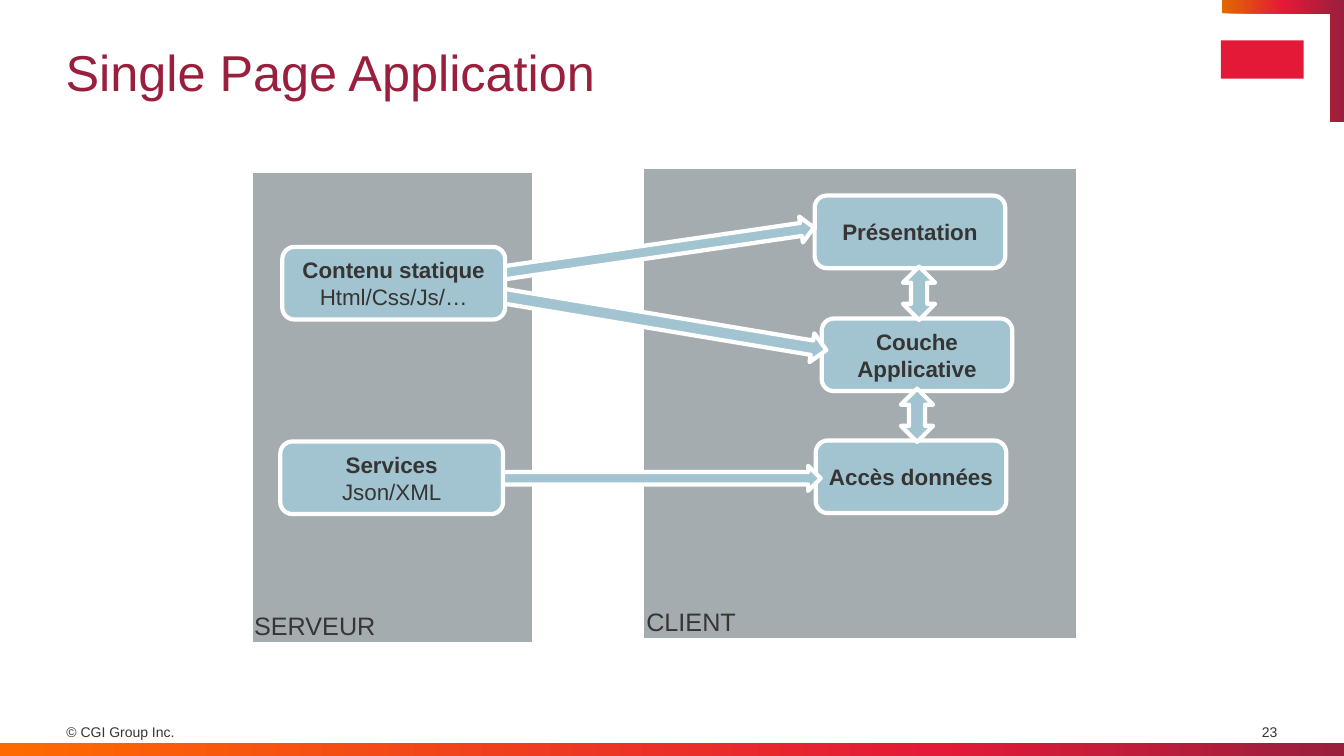
from dataclasses import dataclass

import pptx
import pptx.dml.color
import pptx.enum.shapes
import pptx.enum.text
import pptx.oxml
import pptx.oxml.ns
import pptx.shapes.autoshape
import pptx.slide
import pptx.text.text
import pptx.util

RGBColor = pptx.dml.color.RGBColor
Shape = pptx.shapes.autoshape.Shape
Page = pptx.slide.Slide
Kind = pptx.enum.shapes.MSO_SHAPE
Align = pptx.enum.text.PP_ALIGN
Anchor = pptx.enum.text.MSO_ANCHOR

EMU_PER_PX = 9144
PAGE_WIDTH, PAGE_HEIGHT = 1333, 750
FONT = "Arial"
WHITE = RGBColor(0xFF, 0xFF, 0xFF)
INK = RGBColor(0x36, 0x35, 0x34)
GREY = RGBColor(0xA5, 0xAC, 0xB0)
BLUE = RGBColor(0xA1, 0xC4, 0xD0)
RED = RGBColor(0xE3, 0x19, 0x37)
BURGUNDY = RGBColor(0x99, 0x1F, 0x3D)
ORANGE = RGBColor(0xFF, 0x6A, 0x00)
DARK_ORANGE = RGBColor(0xE1, 0x6A, 0x00)


@dataclass(frozen=True)
class Frame:
    left: int
    top: int
    width: int
    height: int


@dataclass(frozen=True)
class Block:
    kind: Kind
    frame: Frame
    fill: RGBColor = BLUE
    rotation: float = 0
    heading: str = ""
    detail: str = ""


@dataclass(frozen=True)
class Label:
    text: str
    frame: Frame
    size: int
    align: Align = Align.LEFT
    anchor: Anchor = Anchor.MIDDLE
    wrap: bool = True


def panel(left: int, top: int, width: int) -> Block:
    return Block(Kind.RECTANGLE, Frame(left, top, width, 469), GREY)


def node(left: int, top: int, width: int, heading: str, detail: str = "") -> Block:
    return Block(Kind.ROUNDED_RECTANGLE, Frame(left, top, width, 72),
                 heading=heading, detail=detail)


def flow(left: int, top: int, width: int, height: int, rotation: float = 0) -> Block:
    return Block(Kind.RIGHT_ARROW, Frame(left, top, width, height), rotation=rotation)


def exchange(left: int, top: int) -> Block:
    return Block(Kind.LEFT_RIGHT_ARROW, Frame(left, top, 53, 32), rotation=90)


BLOCKS = [
    panel(637, 166, 432),
    node(809, 437, 189, "Accès données"),
    node(815, 316, 189, "Couche Applicative"),
    node(808, 194, 189, "Présentation"),
    panel(249, 170, 281),
    flow(485, 462, 329, 25),
    flow(488, 236, 321, 26, 351.7),
    flow(472, 304, 350, 29, 9.5),
    node(280, 245, 221, "Contenu statique", "Html/Css/Js/…"),
    node(278, 438, 221, "Services", "Json/XML"),
    exchange(885, 275),
    exchange(883, 396),
]

LABELS = [
    Label("© CGI Group Inc.", Frame(66, 717, 210, 19), 10, wrap=False),
    Label("23", Frame(1238, 717, 29, 19), 10, Align.RIGHT),
    Label("SERVEUR", Frame(252, 606, 192, 30), 18, anchor=Anchor.TOP),
    Label("CLIENT", Frame(641, 602, 192, 30), 18, anchor=Anchor.TOP),
]


def px(length: int) -> pptx.util.Emu:
    return pptx.util.Emu(length * EMU_PER_PX)


def edges(frame: Frame) -> tuple:
    return px(frame.left), px(frame.top), px(frame.width), px(frame.height)


def set_frame(box: Shape, *, anchor: Anchor = Anchor.MIDDLE, side: int = 0,
              wrap: bool = True) -> None:
    text_frame = box.text_frame
    text_frame.auto_size = pptx.enum.text.MSO_AUTO_SIZE.NONE
    text_frame.word_wrap = wrap
    text_frame.vertical_anchor = anchor
    text_frame.margin_left = text_frame.margin_right = px(side)
    text_frame.margin_top = text_frame.margin_bottom = 0


def write(para: pptx.text.text._Paragraph, text: str, *, size: int, color: RGBColor = INK,
          bold: bool = False, align: Align = Align.LEFT) -> None:
    para.alignment = align
    span = para.add_run()
    span.text = text
    span.font.name = FONT
    span.font.size = pptx.util.Pt(size)
    span.font.bold = bold
    span.font.color.rgb = color


def add_block(page: Page, block: Block) -> None:
    box = page.shapes.add_shape(block.kind, *edges(block.frame))
    box.shadow.inherit = False
    box.rotation = block.rotation
    box.fill.solid()
    box.fill.fore_color.rgb = block.fill
    box.line.color.rgb = WHITE
    box.line.width = pptx.util.Pt(3)
    if block.heading:
        set_frame(box, side=7)
        write(box.text_frame.paragraphs[0], block.heading, size=16, bold=True,
              align=Align.CENTER)
    if block.detail:
        write(box.text_frame.add_paragraph(), block.detail, size=16, align=Align.CENTER)


def add_label(page: Page, label: Label) -> None:
    box = page.shapes.add_textbox(*edges(label.frame))
    set_frame(box, anchor=label.anchor, wrap=label.wrap)
    write(box.text_frame.paragraphs[0], label.text, size=label.size, align=label.align)


def paint_gradient(box: Shape, stops: list[tuple[int, RGBColor]]) -> None:
    box.shadow.inherit = False
    box.line.fill.background()
    box.fill.gradient()
    box.fill.gradient_angle = 0
    stop_list = box._element.spPr.find(".//" + pptx.oxml.ns.qn("a:gsLst"))
    for stop in list(stop_list):
        stop_list.remove(stop)
    for percent, color in stops:
        stop_list.append(pptx.oxml.parse_xml(
            f'<a:gs {pptx.oxml.ns.nsdecls("a")} pos="{percent * 1000}">'
            f'<a:srgbClr val="{color}"/></a:gs>'))


def add_branding(page: Page) -> None:
    mark = page.shapes.add_shape(Kind.RECTANGLE, *edges(Frame(1211, 40, 82, 38)))
    mark.shadow.inherit = False
    mark.fill.solid()
    mark.fill.fore_color.rgb = RED
    mark.line.fill.background()

    builder = page.shapes.build_freeform(1212, 0, scale=EMU_PER_PX)
    builder.add_line_segments(
        [(1212, 13), (1320, 13), (1320, 121), (PAGE_WIDTH, 121), (PAGE_WIDTH, 0)])
    paint_gradient(builder.convert_to_shape(),
                   [(0, DARK_ORANGE), (50, RED), (100, BURGUNDY)])

    footer = page.shapes.add_shape(Kind.RECTANGLE, *edges(Frame(0, 737, PAGE_WIDTH, 13)))
    paint_gradient(footer, [(0, ORANGE), (70, RED), (100, BURGUNDY)])


def add_title(page: Page, text: str) -> None:
    title = page.shapes.title
    title.left, title.top, title.width, title.height = edges(Frame(65, 20, 1092, 101))
    set_frame(title)
    write(title.text_frame.paragraphs[0], text, size=36, color=BURGUNDY)


def main() -> None:
    deck = pptx.Presentation()
    deck.slide_width, deck.slide_height = px(PAGE_WIDTH), px(PAGE_HEIGHT)
    page = deck.slides.add_slide(deck.slide_layouts.get_by_name("Title Only"))
    add_branding(page)
    add_title(page, "Single Page Application")
    for block in BLOCKS:
        add_block(page, block)
    for label in LABELS:
        add_label(page, label)
    deck.save("out.pptx")


if __name__ == "__main__":
    main()
